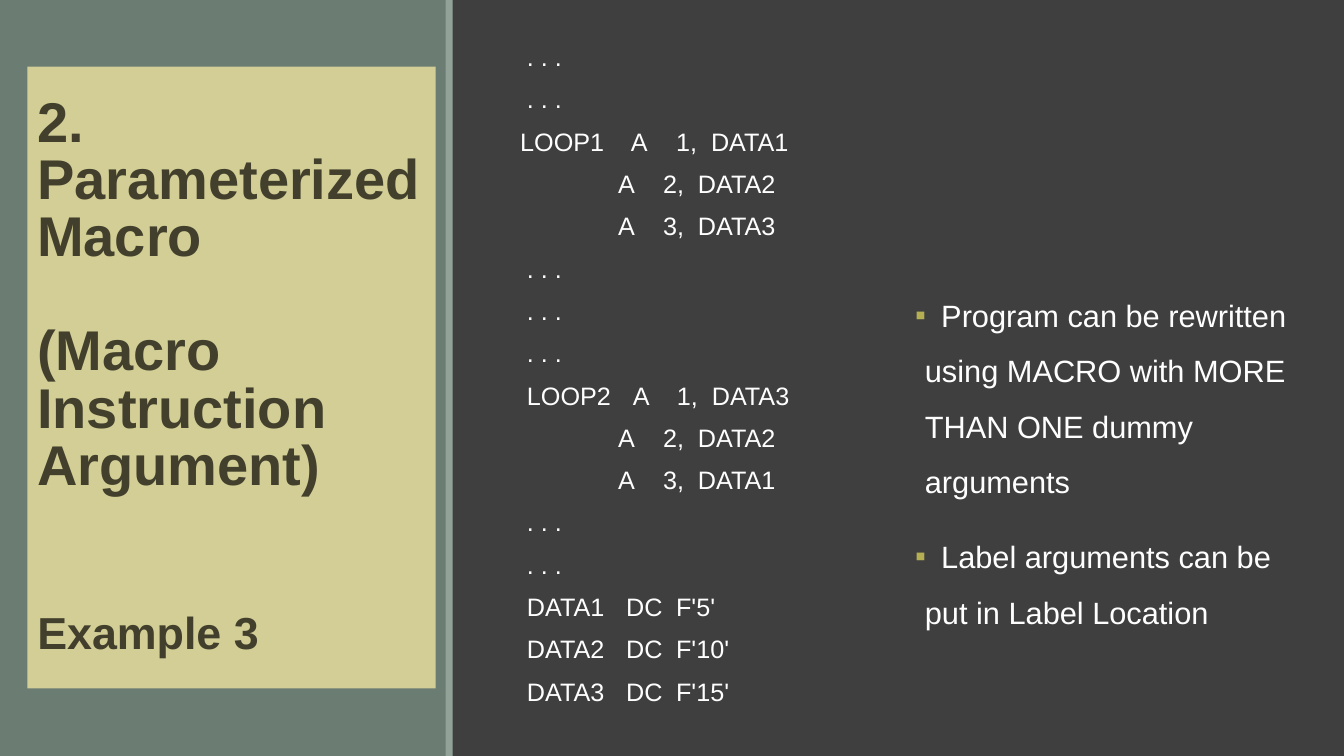
"""Build the slide on parameterized macros, example 3."""
from lxml import etree
from pptx import Presentation
from pptx.dml.color import RGBColor
from pptx.enum.shapes import MSO_SHAPE
from pptx.enum.text import MSO_ANCHOR, PP_ALIGN
from pptx.oxml.ns import qn
from pptx.util import Cm, Pt

RECTANGLE = MSO_SHAPE.RECTANGLE
MIDDLE, TOP = MSO_ANCHOR.MIDDLE, MSO_ANCHOR.TOP
LEFT = PP_ALIGN.LEFT
FONT = "Arial"
BACKGROUND, PANEL, STRIPE, CARD = "3F3F3F", "6B7C72", "93A299", "D2CE96"
TITLE_COLOR, TEXT_COLOR, BULLET_COLOR = "42402C", "FEFEFE", "B5AE53"

TITLE = [
    ("2. Parameterized Macro", 40, 0),
    ("(Macro Instruction Argument)", 40, 41),
    ("Example 3", 32, 83),
]
TAB_STOPS = {
    "dots": [0.35],
    "first loop": [0.18, 2.97, 4.11, 4.99],
    "second loop": [0.35, 3.02, 4.13, 5.01],
    "add": [2.65, 3.78, 4.66],
    "constant": [0.35, 2.85, 4.11],
}
DOTS = ("dots", [". . ."])
CODE = [
    DOTS, DOTS,
    ("first loop", ["LOOP1", "A", "1,", "DATA1"]),
    ("add", ["A", "2,", "DATA2"]),
    ("add", ["A", "3,", "DATA3"]),
    DOTS, DOTS, DOTS,
    ("second loop", ["LOOP2", "A", "1,", "DATA3"]),
    ("add", ["A", "2,", "DATA2"]),
    ("add", ["A", "3,", "DATA1"]),
    DOTS, DOTS,
    ("constant", ["DATA1", "DC", "F'5'"]),
    ("constant", ["DATA2", "DC", "F'10'"]),
    ("constant", ["DATA3", "DC", "F'15'"]),
]
NOTES = [
    "Program can be rewritten using MACRO with MORE THAN ONE dummy arguments",
    "Label arguments can be put in Label Location",
]


def color(value):
    return RGBColor.from_string(value)


def add_rectangle(slide, left, top, width, height, fill):
    shape = slide.shapes.add_shape(RECTANGLE, Cm(left), Cm(top), Cm(width), Cm(height))
    shape.shadow.inherit = False
    shape.fill.solid()
    shape.fill.fore_color.rgb = color(fill)
    shape.line.fill.background()
    return shape


def add_text_box(slide, left, top, width, height):
    return slide.shapes.add_textbox(Cm(left), Cm(top), Cm(width), Cm(height))


def fill_text(shape, lines, side_inset, anchor):
    text_frame = shape.text_frame
    text_frame.word_wrap = True
    text_frame.vertical_anchor = anchor
    text_frame.margin_left = text_frame.margin_right = Cm(side_inset)
    text_frame.margin_top = text_frame.margin_bottom = Cm(0.13)
    text_frame.text = "\n".join(lines)
    return text_frame.paragraphs


def style(paragraph, size, text_color, line_spacing, space_before=0, bold=False):
    paragraph.alignment = LEFT
    paragraph.line_spacing = line_spacing
    paragraph.space_before = Pt(space_before)
    for run in paragraph.runs:
        run.font.name = FONT
        run.font.size = Pt(size)
        run.font.bold = bold
        run.font.color.rgb = color(text_color)


def set_tab_stops(paragraph, stops):
    tab_list = etree.SubElement(paragraph._p.get_or_add_pPr(), qn("a:tabLst"))
    for stop in stops:
        etree.SubElement(tab_list, qn("a:tab"), pos=str(Cm(stop)), algn="l")


def set_bullet(paragraph):
    properties = paragraph._p.get_or_add_pPr()
    properties.set("marL", str(Cm(0.25)))
    properties.set("indent", str(Cm(-0.38)))
    bullet_color = etree.SubElement(properties, qn("a:buClr"))
    etree.SubElement(bullet_color, qn("a:srgbClr"), val=BULLET_COLOR)
    etree.SubElement(properties, qn("a:buFont"), typeface=FONT)
    etree.SubElement(properties, qn("a:buChar"), char="▪")


presentation = Presentation()
presentation.slide_width, presentation.slide_height = Cm(33.87), Cm(19.05)
slide = presentation.slides.add_slide(presentation.slide_layouts[6])
slide.background.fill.solid()
slide.background.fill.fore_color.rgb = color(BACKGROUND)

add_rectangle(slide, 0, 0, 11.25, 19.05, PANEL)
title_card = add_rectangle(slide, 0.69, 1.68, 10.29, 15.67, CARD)
add_rectangle(slide, 11.23, 0, 0.18, 19.05, STRIPE)

title_lines = [text for text, size, gap in TITLE]
for paragraph, (text, size, gap) in zip(fill_text(title_card, title_lines, 0.25, MIDDLE), TITLE):
    style(paragraph, size, TITLE_COLOR, 0.85, gap, bold=True)

code_box = add_text_box(slide, 12.93, 0.61, 8.08, 17.81)
code_lines = ["\t" + "\t".join(fields) for kind, fields in CODE]
for paragraph, (kind, fields) in zip(fill_text(code_box, code_lines, 0, TOP), CODE):
    style(paragraph, 18, TEXT_COLOR, 1.4)
    set_tab_stops(paragraph, TAB_STOPS[kind])

notes_box = add_text_box(slide, 23.06, 6.88, 9.45, 7.47)
note_lines = ["\u2002" + note for note in NOTES]
for index, paragraph in enumerate(fill_text(notes_box, note_lines, 0, TOP)):
    style(paragraph, 22, TEXT_COLOR, 1.5, 14 if index else 0)
    set_bullet(paragraph)

presentation.save("out.pptx")
